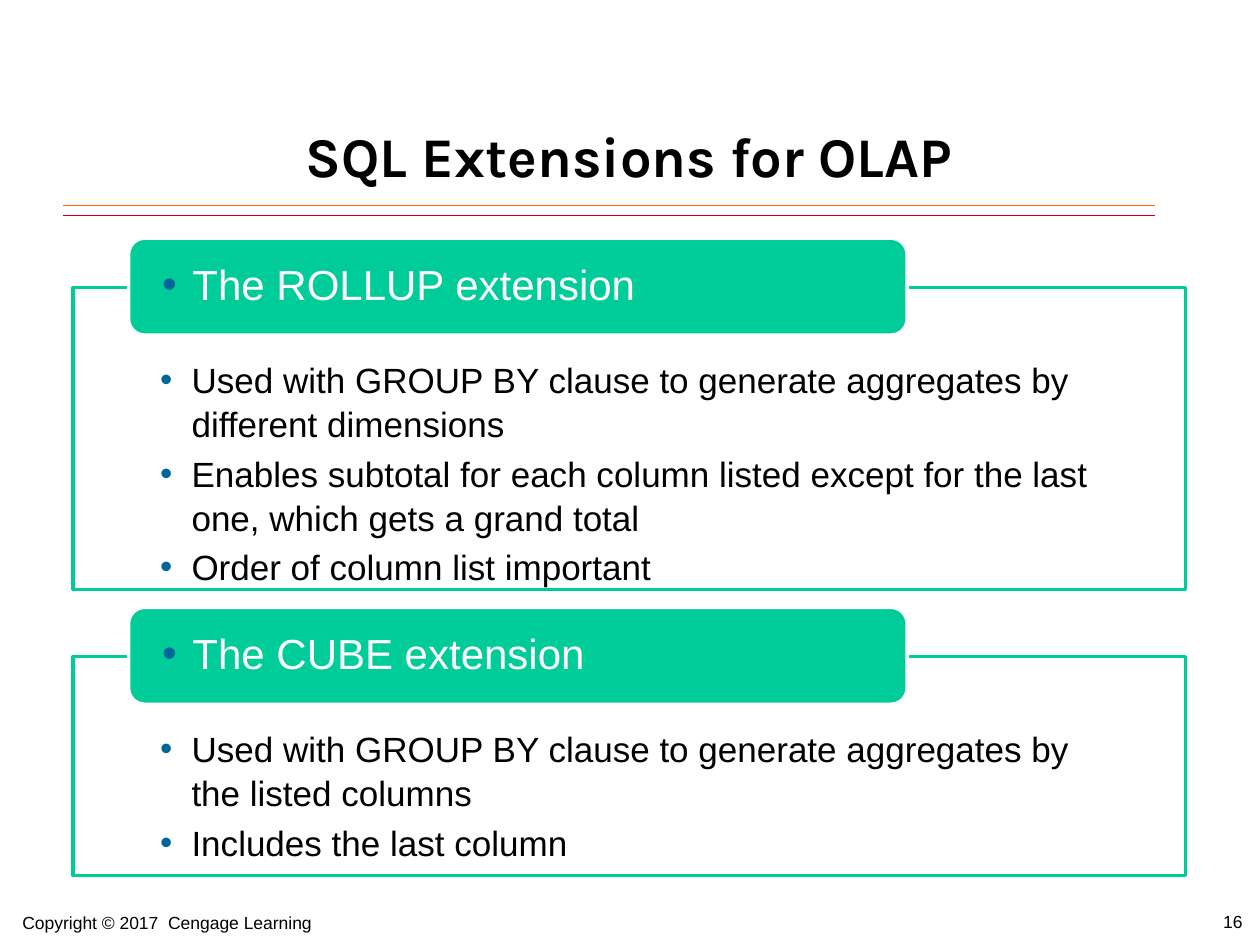
import pptx
import pptx.dml.color
import pptx.enum.shapes
import pptx.enum.text
import pptx.util
from lxml import etree
from pptx.oxml.ns import qn

Inches, Pt = pptx.util.Inches, pptx.util.Pt
ANCHOR, ALIGN = pptx.enum.text.MSO_ANCHOR, pptx.enum.text.PP_ALIGN

# Content
TITLE = "SQL Extensions for OLAP"
SECTIONS = [  # heading, box height, points
    ("The ROLLUP extension", 2.4, [
        "Used with GROUP BY clause to generate aggregates by different dimensions",
        "Enables subtotal for each column listed except for the last one, which gets a grand total",
        "Order of column list important",
    ]),
    ("The CUBE extension", 1.74, [
        "Used with GROUP BY clause to generate aggregates by the listed columns",
        "Includes the last column",
    ]),
]
FOOTERS = [  # text, left, top, width
    ("Copyright © 2017  Cengage Learning", 0.08, 7.19, 3.17),
    ("16", 9.61, 7.18, 0.5),
]
RULES = [(1.71, "CC0000"), (1.63, "FF6600")]  # top, colour

THEME = {
    "title_font": "Karla", "font": "Arial",
    "title": 32, "heading": 24, "body": 20, "footer": 10,
    "text": "000000", "white": "FFFFFF", "accent": "00CC99", "bullet": "006699",
}

# Layout
BOX_LEFT, BOX_WIDTH = 0.58, 8.83
TAB_LEFT, TAB_WIDTH, TAB_HEIGHT = 1.02, 6.18, 0.77
FIRST_TAB, TAB_RISE, GAP = 1.89, 0.39, 0.14


def rgb(value):
    return pptx.dml.color.RGBColor.from_string(value)


def style(p, size, color="text", font="font", bold=False):
    for r in p.runs:
        r.font.name, r.font.size, r.font.bold = THEME[font], Pt(size), bold
        r.font.color.rgb = rgb(THEME[color])


def place(s, left, top, width, height):
    s.left, s.top, s.width, s.height = map(Inches, (left, top, width, height))


def paint(s, fill, line):
    s.fill.solid()
    s.fill.fore_color.rgb = rgb(THEME[fill])
    s.line.color.rgb = rgb(THEME[line])
    s.line.width = Pt(2)


def set_insets(tf, side, top=0, bottom=0):
    tf.word_wrap = True
    tf.auto_size = pptx.enum.text.MSO_AUTO_SIZE.NONE
    tf.margin_left = tf.margin_right = Inches(side)
    tf.margin_top, tf.margin_bottom = Inches(top), Inches(bottom)


def add_bullet(p, indent):
    pPr = p._p.get_or_add_pPr()
    pPr.set("marL", str(Inches(indent)))
    pPr.set("indent", str(-Inches(indent)))
    color = etree.SubElement(pPr, qn("a:buClr"))
    etree.SubElement(color, qn("a:srgbClr"), val=THEME["bullet"])
    etree.SubElement(pPr, qn("a:buFont"), typeface=THEME["font"])
    etree.SubElement(pPr, qn("a:buChar"), char="•")


def add_rule(slide, top, color):
    y = Inches(top)
    rule = slide.shapes.add_connector(
        pptx.enum.shapes.MSO_CONNECTOR.STRAIGHT, Inches(0.5), y, Inches(9.17), y)
    rule.line.color.rgb = rgb(color)
    rule.line.width = Pt(0.75)
    etree.SubElement(rule._element.spPr, qn("a:effectLst"))


def fill_box(box, points):
    paint(box, "white", "accent")
    tf = box.text_frame
    set_insets(tf, 0.69, 0.55, 0.16)
    tf.vertical_anchor = ANCHOR.TOP
    tf.text = "\n".join(points)
    for p in tf.paragraphs:
        add_bullet(p, 0.25)
        p.line_spacing = 1.05
        p.space_before, p.space_after = Pt(0), Pt(3)
        style(p, THEME["body"])


def add_tab(slide, heading, top):
    tab = slide.shapes.add_shape(
        pptx.enum.shapes.MSO_SHAPE.ROUNDED_RECTANGLE,
        Inches(TAB_LEFT), Inches(top), Inches(TAB_WIDTH), Inches(TAB_HEIGHT))
    tab.shadow.inherit = False
    paint(tab, "accent", "white")
    tf = tab.text_frame
    set_insets(tf, 0.23)
    tf.vertical_anchor = ANCHOR.MIDDLE
    tf.text = heading
    p = tf.paragraphs[0]
    add_bullet(p, 0.24)
    p.alignment, p.line_spacing = ALIGN.LEFT, 0.9
    style(p, THEME["heading"], "white")


def main():
    prs = pptx.Presentation()
    prs.slide_width, prs.slide_height = Inches(10), Inches(7.5)
    slide = prs.slides.add_slide(prs.slide_layouts.get_by_name("Two Content"))

    # Title and rules
    title = slide.shapes.title
    place(title, 1.62, 0.61, 6.75, 1.25)
    tf = title.text_frame
    set_insets(tf, 0.1, 0.05, 0.05)
    tf.vertical_anchor = ANCHOR.MIDDLE
    tf.text = TITLE
    tf.paragraphs[0].alignment = ALIGN.CENTER
    style(tf.paragraphs[0], THEME["title"], font="title_font", bold=True)
    for top, color in RULES:
        add_rule(slide, top, color)

    # Outlined lists, each with a heading tab over its top edge
    tab_top = FIRST_TAB
    for idx, (heading, height, points) in enumerate(SECTIONS, start=1):
        box, box_top = slide.placeholders[idx], tab_top + TAB_RISE
        place(box, BOX_LEFT, box_top, BOX_WIDTH, height)
        fill_box(box, points)
        add_tab(slide, heading, tab_top)
        tab_top = box_top + height + GAP

    # Footer
    for text, left, top, width in FOOTERS:
        s = slide.shapes.add_textbox(
            Inches(left), Inches(top), Inches(width), Inches(0.25))
        s.text_frame.word_wrap = True
        s.text_frame.text = text
        style(s.text_frame.paragraphs[0], THEME["footer"])

    prs.save("out.pptx")


if __name__ == "__main__":
    main()
